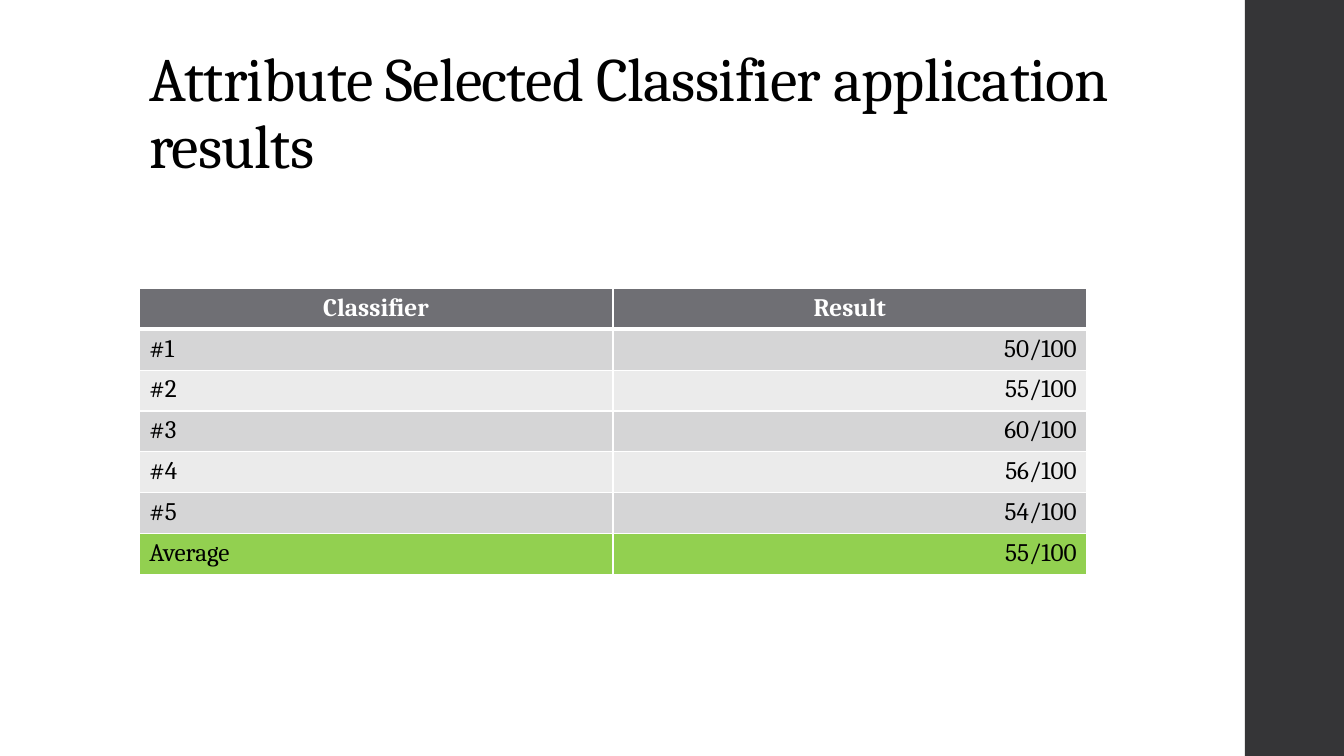
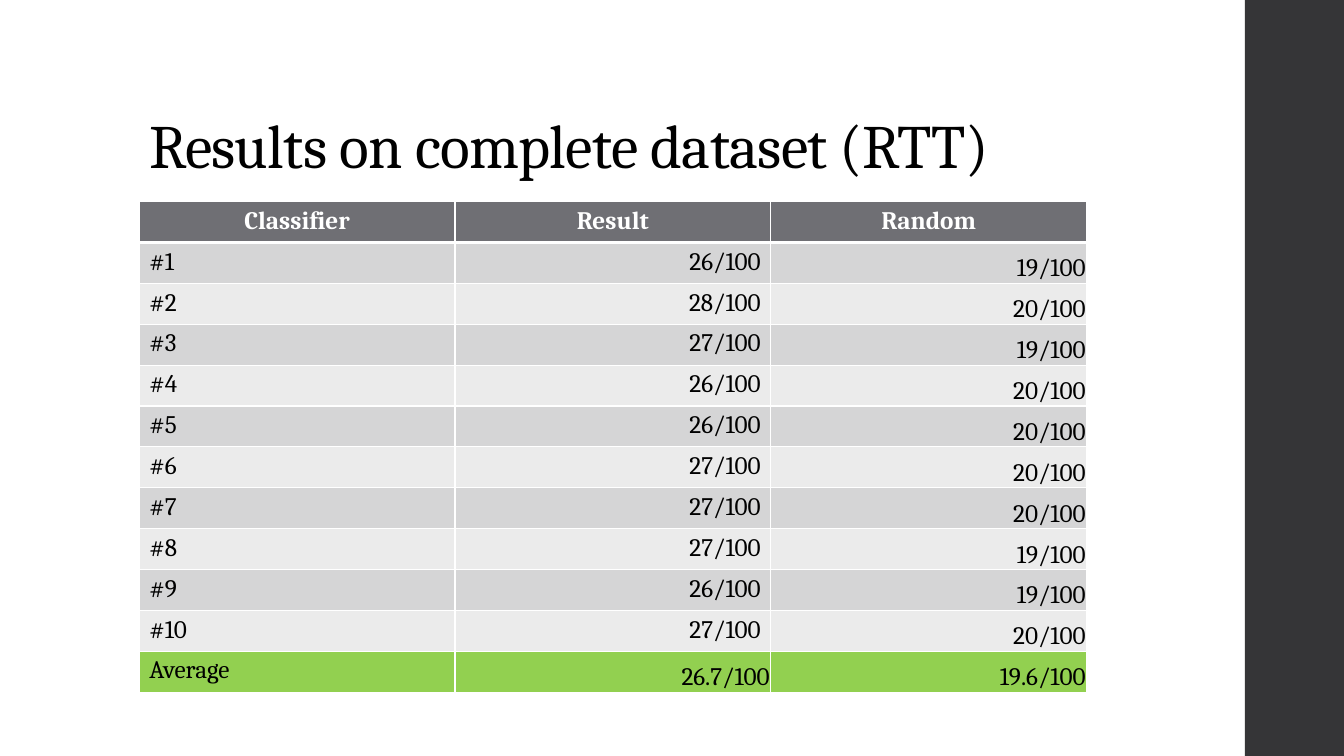
from lxml.etree import SubElement
from pptx import Presentation
from pptx.dml.color import RGBColor
from pptx.enum.shapes import MSO_SHAPE
from pptx.enum.text import MSO_ANCHOR, PP_ALIGN
from pptx.oxml.ns import qn
from pptx.util import Pt

FONT = "Cambria"
BLACK = RGBColor(0x00, 0x00, 0x00)
WHITE = RGBColor(0xFF, 0xFF, 0xFF)
BAND = RGBColor(0x35, 0x35, 0x37)
HEADER = RGBColor(0x6F, 0x6F, 0x74)
DARK_ROW = RGBColor(0xD5, 0xD5, 0xD6)
LIGHT_ROW = RGBColor(0xEB, 0xEB, 0xEB)
AVERAGE_ROW = RGBColor(0x92, 0xD0, 0x50)

SLIDE_WIDTH, SLIDE_HEIGHT = 960, 540
BAND_LEFT = 889.2
LEFT = 99.4
TABLE_WIDTH = 676.8
ROW_HEIGHT = 29.2

# Title, table top, header, result rows, average row, and the columns with
# narrow margins in the result rows and in the average row
SLIDES = [
    (
        "Attribute Selected Classifier application results",
        206,
        ["Classifier", "Result"],
        [["50/100"], ["55/100"], ["60/100"], ["56/100"], ["54/100"]],
        ["Average", "55/100"],
        (),
        (),
    ),
    (
        "Results on complete dataset (RTT)",
        144,
        ["Classifier", "Result", "Random"],
        [
            ["26/100", "19/100"],
            ["28/100", "20/100"],
            ["27/100", "19/100"],
            ["26/100", "20/100"],
            ["26/100", "20/100"],
            ["27/100", "20/100"],
            ["27/100", "20/100"],
            ["27/100", "19/100"],
            ["26/100", "19/100"],
            ["27/100", "20/100"],
        ],
        ["Average", "26.7/100", "19.6/100"],
        (2,),
        (1, 2),
    ),
]


def set_borders(cell, top, bottom):
    """Draw white borders; the sides are 1 point wide."""
    properties = cell._tc.get_or_add_tcPr()
    for side, width in (("L", 1), ("R", 1), ("T", top), ("B", bottom)):
        line = SubElement(properties, qn(f"a:ln{side}"), w=str(Pt(width)))
        fill = SubElement(line, qn("a:solidFill"))
        SubElement(fill, qn("a:srgbClr"), val=str(WHITE))


def add_base_slide(presentation, title):
    """Add a slide with the side band and the title."""
    slide = presentation.slides.add_slide(presentation.slide_layouts[6])
    band = slide.shapes.add_shape(
        MSO_SHAPE.RECTANGLE,
        Pt(BAND_LEFT), Pt(0), Pt(SLIDE_WIDTH - BAND_LEFT), Pt(SLIDE_HEIGHT),
    )
    band.shadow.inherit = False
    band.fill.solid()
    band.fill.fore_color.rgb = BAND
    band.line.fill.background()

    title_box = slide.shapes.add_textbox(Pt(LEFT), Pt(28.8), Pt(763.2), Pt(104.4))
    frame = title_box.text_frame
    frame.word_wrap = True
    frame.vertical_anchor = MSO_ANCHOR.BOTTOM
    paragraph = frame.paragraphs[0]
    paragraph.line_spacing = 0.9
    run = paragraph.add_run()
    run.text = title
    run.font.name = FONT
    run.font.size = Pt(44)
    run.font.color.rgb = BLACK
    run.font._element.set("spc", "-50")
    return slide


presentation = Presentation()
presentation.slide_width = Pt(SLIDE_WIDTH)
presentation.slide_height = Pt(SLIDE_HEIGHT)

for title, top, header, results, average, narrow_results, narrow_average in SLIDES:
    slide = add_base_slide(presentation, title)
    numbered = [[f"#{number}", *values] for number, values in enumerate(results, 1)]
    rows = [header, *numbered, average]
    last = len(rows) - 1
    table = slide.shapes.add_table(
        len(rows), len(header),
        Pt(LEFT), Pt(top), Pt(TABLE_WIDTH), Pt(ROW_HEIGHT * len(rows)),
    ).table

    for row_index, values in enumerate(rows):
        is_header = row_index == 0
        if is_header:
            color, narrow = HEADER, ()
        elif row_index == last:
            color, narrow = AVERAGE_ROW, narrow_average
        else:
            color = DARK_ROW if row_index % 2 else LIGHT_ROW
            narrow = narrow_results

        for column, text in enumerate(values):
            cell = table.cell(row_index, column)
            set_borders(cell, 3 if row_index == 1 else 1, 3 if is_header else 1)
            cell.fill.solid()
            cell.fill.fore_color.rgb = color
            if column in narrow:
                cell.vertical_anchor = MSO_ANCHOR.BOTTOM
                cell.margin_left = cell.margin_right = cell.margin_top = Pt(0.75)
                cell.margin_bottom = Pt(0)

            cell.text = text
            paragraph = cell.text_frame.paragraphs[0]
            if is_header:
                paragraph.alignment = PP_ALIGN.CENTER
            else:
                paragraph.alignment = PP_ALIGN.RIGHT if column else PP_ALIGN.LEFT
            paragraph.font.name = FONT
            paragraph.font.size = Pt(18)
            paragraph.font.bold = is_header
            paragraph.font.color.rgb = WHITE if is_header else BLACK

presentation.save("out.pptx")
